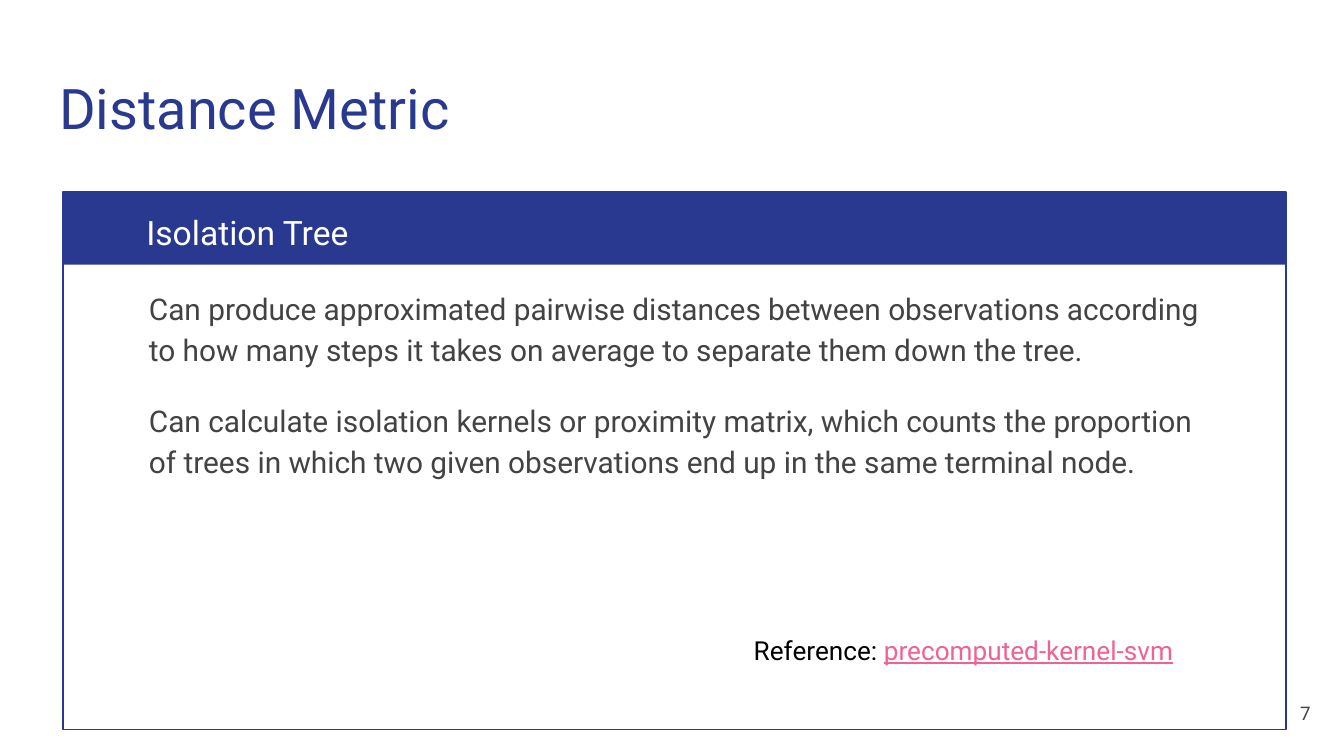
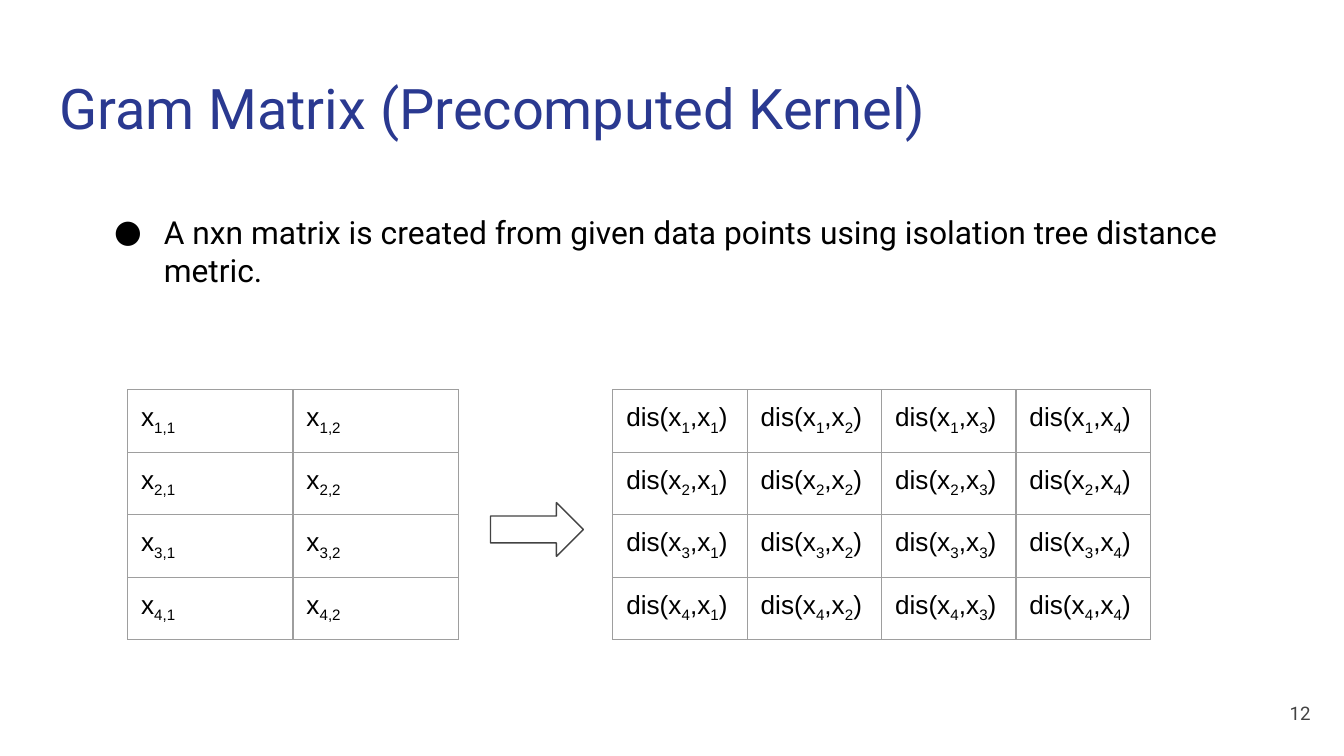
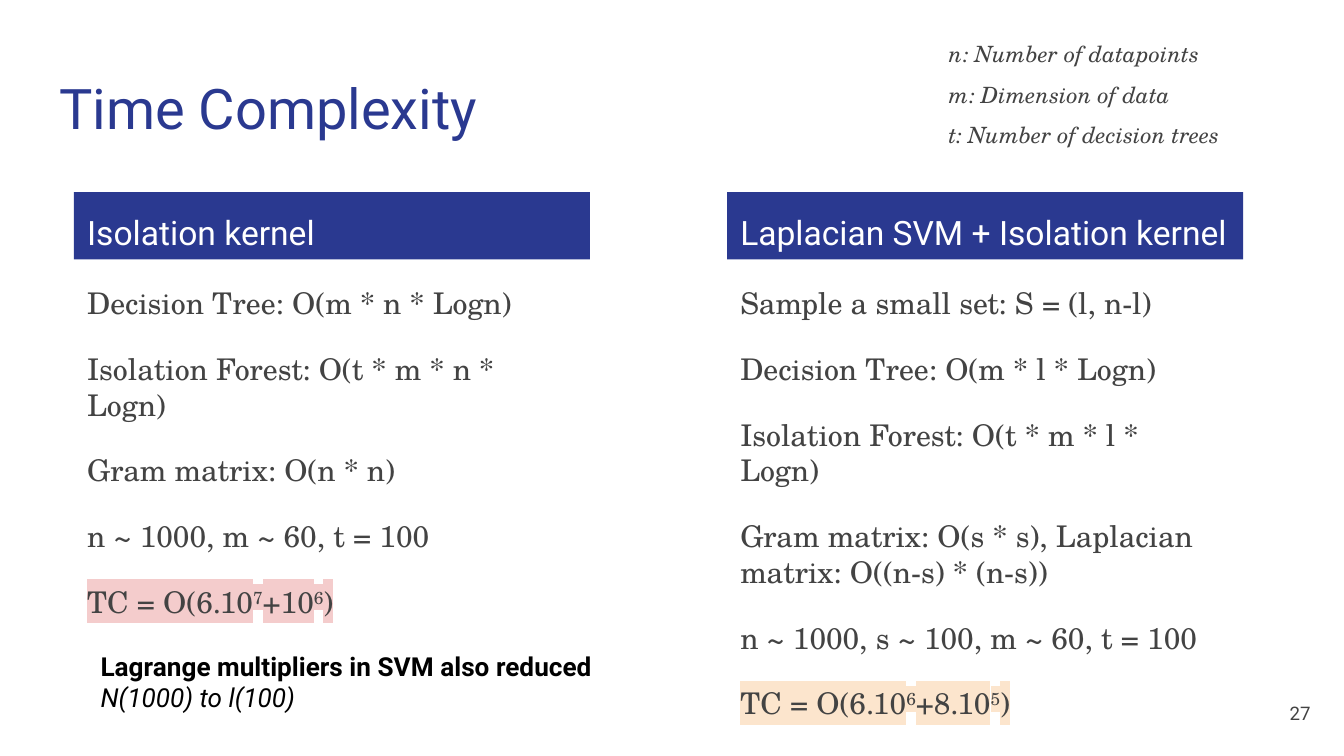
"""Build three slides on the isolation kernel: metric, Gram matrix and time complexity."""
import dataclasses

import lxml.etree
import pptx
import pptx.dml.color
import pptx.enum.shapes
import pptx.enum.text
import pptx.oxml.ns
import pptx.util


@dataclasses.dataclass(frozen=True)
class Theme:
    """Colours, fonts and type sizes."""
    navy: str = "2A3990"
    grey: str = "434343"
    black: str = "000000"
    white: str = "FFFFFF"
    pink: str = "F06292"
    rule: str = "9E9E9E"
    rose: str = "F4CCCC"
    peach: str = "FCE5CD"
    sans: str = "Roboto"
    serif: str = "TeX Gyre Schola"
    cell: str = "Arial"
    title: int = 30
    heading: int = 18
    bullet: int = 17
    body: int = 16
    note: int = 14
    legend: int = 12
    number: int = 10
    line: float = 0.75


THEME = Theme()
WIDTH = 10
HEIGHT = WIDTH * 9 / 16
INSET = 0.1
BAND_TOP, BAND_HEIGHT = 1.43, 0.5
BODY_TOP, BODY_HEIGHT = 2.02, 3.06


def sub(text):
    """Return a subscript run."""
    return text, {"baseline": -25000}


def power(mark, *parts):
    """Return highlighted runs, alternating plain text and superscripts."""
    return [(part, {"mark": mark, "baseline": 30000 * (i % 2)}) for i, part in enumerate(parts)]


METRIC = {
    "title": "Distance Metric",
    "number": 7,
    "heading": "Isolation Tree",
    "body": [
        "Can produce approximated pairwise distances between observations according to how many "
        "steps it takes on average to separate them down the tree.",
        "Can calculate isolation kernels or proximity matrix, which counts the proportion of trees "
        "in which two given observations end up in the same terminal node.",
    ],
    "reference": ["Reference: ", ("precomputed-kernel-svm", {"color": THEME.pink, "underline": True})],
}
POINTS = range(1, 5)
GRAM = {
    "title": "Gram Matrix (Precomputed Kernel)",
    "number": 12,
    "bullet": "A nxn matrix is created from given data points using isolation tree distance metric.",
    "data": [[["x", sub(f"{i},{j}")] for j in (1, 2)] for i in POINTS],
    "distances": [[["dis(x", sub(f"{i}"), ",x", sub(f"{j}"), ")"] for j in POINTS] for i in POINTS],
}
COMPLEXITY = {
    "title": "Time Complexity",
    "number": 27,
    "legend": ["n: Number of datapoints", "m: Dimension of data", "t: Number of decision trees"],
    "columns": [
        ("Isolation kernel", [
            "Decision Tree: O(m * n * Logn)",
            "Isolation Forest: O(t * m * n * Logn)",
            "Gram matrix: O(n * n)",
            "n ~ 1000, m ~ 60, t = 100",
            power(THEME.rose, "TC = O(6.10", "7", "+10", "6", ")"),
        ]),
        ("Laplacian SVM + Isolation kernel", [
            "Sample a small set: S = (l, n-l)",
            "Decision Tree: O(m * l * Logn)",
            "Isolation Forest: O(t * m * l * Logn)",
            "Gram matrix: O(s * s), Laplacian matrix: O((n-s) * (n-s))",
            "n ~ 1000, s ~ 100, m ~ 60, t = 100",
            power(THEME.peach, "TC = O(6.10", "6", "+8.10", "5", ")"),
        ]),
    ],
    "remark": [
        [("Lagrange multipliers in SVM also reduced", {"bold": True})],
        [("N(1000) to l(100)", {"italic": True})],
    ],
}


def rgb(color):
    """Turn a hex string into a colour."""
    return pptx.dml.color.RGBColor.from_string(color)


def box(left, top, width, height):
    """Turn inches into lengths."""
    return [pptx.util.Inches(side) for side in (left, top, width, height)]


def add_xml(parent, tag, **attributes):
    """Append a drawing element to parent."""
    return lxml.etree.SubElement(parent, pptx.oxml.ns.qn(f"a:{tag}"), attributes)


def set_margins(holder):
    """Give a text frame or a cell equal margins."""
    for side in ("left", "top", "right", "bottom"):
        setattr(holder, f"margin_{side}", pptx.util.Inches(INSET))


def set_font(paragraph, font, size, color):
    """Set the font that all runs of a paragraph share."""
    paragraph.font.name = font
    paragraph.font.size = pptx.util.Pt(size)
    paragraph.font.color.rgb = rgb(color)


def write_runs(paragraph, runs):
    """Add runs, each with its own overrides."""
    for item in [runs] if isinstance(runs, str) else runs:
        text, style = (item, {}) if isinstance(item, str) else item
        run = paragraph.add_run()
        run.text = text
        for name in ("bold", "italic", "underline"):
            if name in style:
                setattr(run.font, name, style[name])
        if "color" in style:
            run.font.color.rgb = rgb(style["color"])
        properties = run._r.get_or_add_rPr()
        if style.get("baseline"):
            properties.set("baseline", str(style["baseline"]))
        if "mark" in style:
            add_xml(add_xml(properties, "highlight"), "srgbClr", val=style["mark"])


def add_bullet(paragraph, sign, font, size, color):
    """Give a paragraph a hanging bullet."""
    properties = paragraph._p.get_or_add_pPr()
    properties.set("marL", str(pptx.util.Inches(0.5)))
    properties.set("indent", str(pptx.util.Inches(-0.37)))
    add_xml(add_xml(properties, "buClr"), "srgbClr", val=color)
    add_xml(properties, "buSzPts", val=str(size * 100))
    add_xml(properties, "buFont", typeface=font)
    add_xml(properties, "buChar", char=sign)


def write(frame, paragraphs, size, color=THEME.black, font=THEME.sans, spacing=1.0, before=0,
          align=pptx.enum.text.PP_ALIGN.LEFT, anchor=pptx.enum.text.MSO_ANCHOR.TOP,
          italic=None, bullet=None):
    """Fill a text frame with evenly styled paragraphs."""
    frame.word_wrap = True
    frame.auto_size = pptx.enum.text.MSO_AUTO_SIZE.NONE
    frame.vertical_anchor = anchor
    set_margins(frame)
    for i, runs in enumerate(paragraphs):
        paragraph = frame.add_paragraph() if i else frame.paragraphs[0]
        paragraph.alignment = align
        paragraph.line_spacing = spacing
        if i and before:
            paragraph.space_before = pptx.util.Pt(before)
        if bullet:
            add_bullet(paragraph, bullet, font, size, color)
        set_font(paragraph, font, size, color)
        paragraph.font.italic = italic
        write_runs(paragraph, runs)


def add_text(slide, place, paragraphs, size, **style):
    """Add a text box."""
    write(slide.shapes.add_textbox(*box(*place)).text_frame, paragraphs, size, **style)


def add_outline(shapes, kind, place, fill=None, line=None):
    """Add a flat preset shape."""
    shape = shapes.add_shape(kind, *box(*place))
    shape.shadow.inherit = False
    if fill:
        shape.fill.solid()
        shape.fill.fore_color.rgb = rgb(fill)
    else:
        shape.fill.background()
    if line:
        shape.line.color.rgb = rgb(line)
        shape.line.width = pptx.util.Pt(THEME.line)
    else:
        shape.line.fill.background()
    return shape


def write_heading(frame, heading):
    """Write the white text of a band."""
    write(frame, [heading], THEME.heading, color=THEME.white, spacing=1.15)


def write_cell(cell, runs):
    """Fill and rule one table cell."""
    properties = cell._tc.get_or_add_tcPr()
    for side in "LRTB":
        edge = add_xml(properties, f"ln{side}", w=str(pptx.util.Pt(THEME.line)))
        add_xml(add_xml(edge, "solidFill"), "srgbClr", val=THEME.rule)
    cell.fill.background()
    set_margins(cell)
    paragraph = cell.text_frame.paragraphs[0]
    set_font(paragraph, THEME.cell, THEME.note, THEME.black)
    write_runs(paragraph, runs)


def add_grid(slide, left, top, column_width, row_height, rows):
    """Add a plain ruled table."""
    size = len(rows), len(rows[0])
    table = slide.shapes.add_table(
        *size, *box(left, top, column_width * size[1], row_height * size[0])).table
    table.first_row = table.horz_banding = False
    for i, row in enumerate(rows):
        for j, runs in enumerate(row):
            write_cell(table.cell(i, j), runs)


def add_slide(deck, content):
    """Add a slide with its title and number."""
    slide = deck.slides.add_slide(deck.slide_layouts[5])
    title = slide.shapes.title
    title.left, title.top, title.width, title.height = box(0.34, 0.45, WIDTH - 2 * 0.34, 0.66)
    write(title.text_frame, [content["title"]], THEME.title, color=THEME.navy)
    add_text(slide, (9.25, 5.09, 0.6, 0.43), [str(content["number"])], THEME.number,
             color=THEME.grey, align=pptx.enum.text.PP_ALIGN.RIGHT,
             anchor=pptx.enum.text.MSO_ANCHOR.MIDDLE)
    return slide


def build_metric(deck, content):
    """Build the framed panel on the distance metric."""
    slide = add_slide(deck, content)
    left, width, text_width = 0.47, 9.1, 8.15
    rectangle = pptx.enum.shapes.MSO_SHAPE.RECTANGLE
    panel = slide.shapes.add_group_shape().shapes
    add_outline(panel, rectangle, (left, BAND_TOP, width, 0.54), fill=THEME.navy)
    add_outline(panel, rectangle, (left, BAND_TOP, width, 4), line=THEME.navy)
    heading = slide.shapes.add_textbox(*box(0.99, BAND_TOP, text_width, BAND_HEIGHT))
    write_heading(heading.text_frame, content["heading"])
    add_text(slide, (1.01, BODY_TOP, text_width, BODY_HEIGHT), content["body"], THEME.body,
             color=THEME.grey, spacing=1.15, before=THEME.body)
    add_text(slide, (5.51, 4.62, 3.47, 0.44), [content["reference"]], THEME.note)


def build_gram(deck, content):
    """Build the step from data points to the distance matrix."""
    slide = add_slide(deck, content)
    add_text(slide, (0.62, 1.48, 8.85, 0.77), [content["bullet"]], THEME.bullet, bullet="●")
    top, row_height = 2.9, 1.86 / len(POINTS)
    add_grid(slide, 0.95, top, 1.23, row_height, content["data"])
    add_grid(slide, 4.56, top, 1, row_height, content["distances"])
    add_outline(slide.shapes, pptx.enum.shapes.MSO_SHAPE.RIGHT_ARROW, (3.65, 3.74, 0.69, 0.4),
                fill=THEME.white, line=THEME.grey)


def build_complexity(deck, content):
    """Build the two-column comparison of costs."""
    slide = add_slide(deck, content)
    left, pitch, width = 0.55, 4.86, 3.84
    for i, (heading, steps) in enumerate(content["columns"]):
        x = left + i * pitch
        band = add_outline(slide.shapes, pptx.enum.shapes.MSO_SHAPE.RECTANGLE,
                           (x, BAND_TOP, width, BAND_HEIGHT), fill=THEME.navy)
        write_heading(band.text_frame, heading)
        add_text(slide, (x, BODY_TOP, 3.77, BODY_HEIGHT + 0.33 * i), steps, THEME.body,
                 color=THEME.grey, font=THEME.serif, before=THEME.body)
    add_text(slide, (6.96, 0.1, 2.22, 1.01), content["legend"], THEME.legend,
             color=THEME.grey, font=THEME.serif, spacing=1.5, italic=True)
    add_text(slide, (0.65, 4.74, 4.13, 0.67), content["remark"], THEME.note)


def main():
    """Build and save the deck."""
    deck = pptx.Presentation()
    deck.slide_width, deck.slide_height = pptx.util.Inches(WIDTH), pptx.util.Inches(HEIGHT)
    build_metric(deck, METRIC)
    build_gram(deck, GRAM)
    build_complexity(deck, COMPLEXITY)
    deck.save("out.pptx")


if __name__ == "__main__":
    main()
